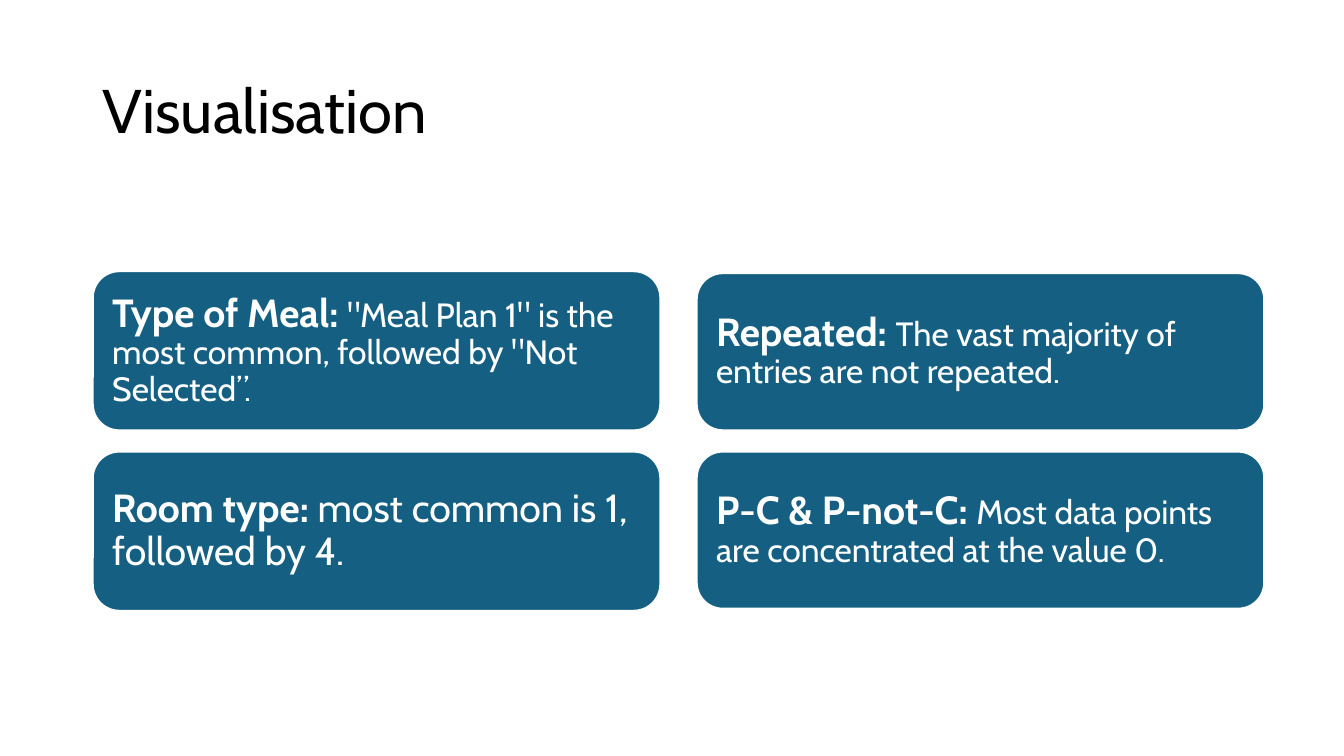
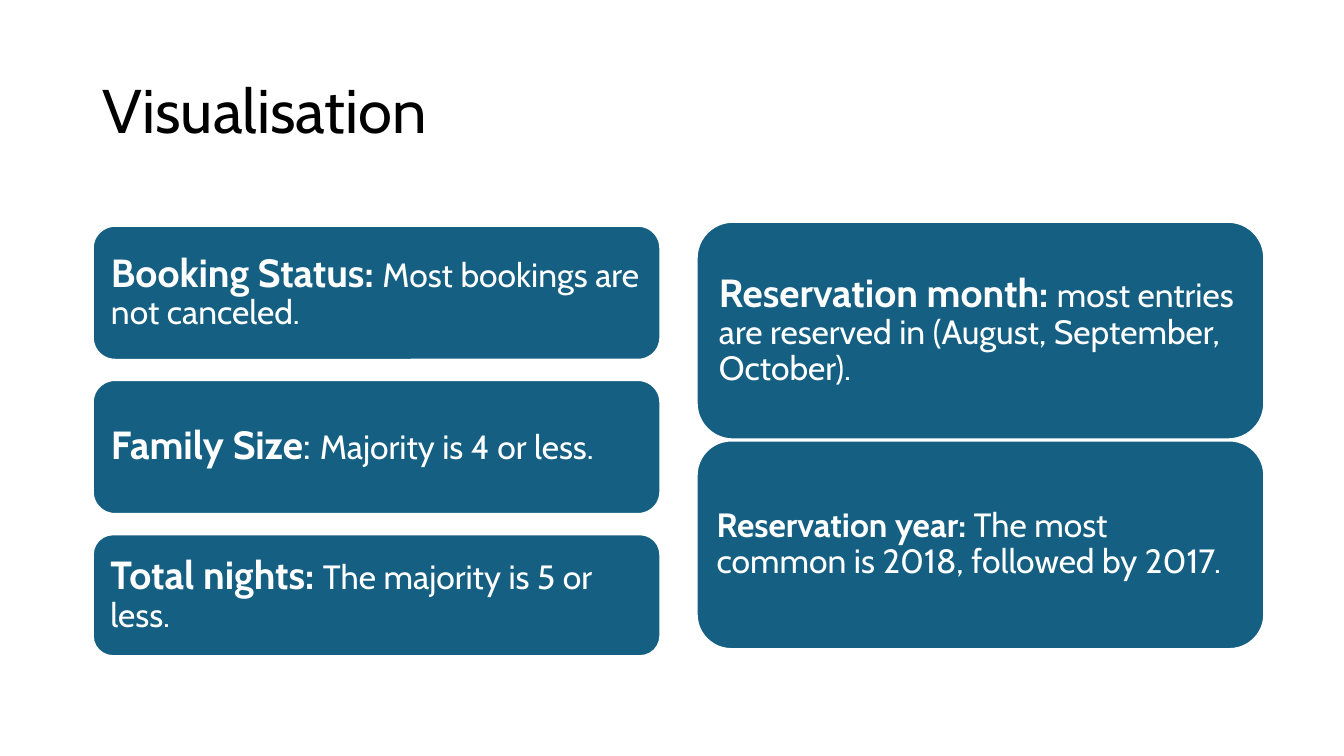
from pptx import Presentation
from pptx.dml.color import RGBColor
from pptx.enum.shapes import MSO_SHAPE
from pptx.enum.text import MSO_ANCHOR, PP_ALIGN
from pptx.util import Inches, Pt

ROUNDED = MSO_SHAPE.ROUNDED_RECTANGLE
MIDDLE = MSO_ANCHOR.MIDDLE
LEFT = PP_ALIGN.LEFT

# Shared style
FONT = "Cabin"
BLUE, WHITE, BLACK = "156082", "FFFFFF", "000000"
TITLE_SIZE, HEADING_SIZE, BODY_SIZE = 44, 28, 24

# Shared grid, in inches
SLIDE_WIDTH, SLIDE_HEIGHT = 13.33, 7.5
MARGIN = 0.92
TITLE_TOP, TITLE_WIDTH, TITLE_HEIGHT = 0.4, 11.5, 1.45
CARD_WIDTH, COLUMN_STEP = 5.63, 5.99

# Each slide has two columns; each card has a height and runs of (text, size, bold)
SLIDES = [
    ("Visualisation", [
        {"top": 2.69, "gap": 0.21, "cards": [
            (1.58, [("Type of Meal: ", HEADING_SIZE, True),
                    ('"Meal Plan 1" is the most common, followed by "Not Selected”.',
                     BODY_SIZE, False)]),
            (1.58, [("Room type: ", HEADING_SIZE, True),
                    ("most common is 1, followed by 4.", HEADING_SIZE, False)]),
        ]},
        {"top": 2.71, "gap": 0.21, "cards": [
            (1.56, [("Repeated: ", HEADING_SIZE, True),
                    ("The vast majority of entries are not repeated.", BODY_SIZE, False)]),
            (1.56, [("P-C & P-not-C: ", HEADING_SIZE, True),
                    ("Most data points are concentrated at the value 0.",
                     BODY_SIZE, False)]),
        ]},
    ]),
    ("Visualisation", [
        {"top": 2.24, "gap": 0.2, "cards": [
            (1.33, [("Booking Status: ", HEADING_SIZE, True),
                    ("Most bookings are not canceled.", BODY_SIZE, False)]),
            (1.33, [("Family Size", HEADING_SIZE, True),
                    (": ", HEADING_SIZE, False),
                    ("Majority is 4 or less.", BODY_SIZE, False)]),
            (1.21, [("Total nights: ", HEADING_SIZE, True),
                    ("The majority is 5 or less.", BODY_SIZE, False)]),
        ]},
        {"top": 2.2, "gap": 0.01, "cards": [
            (2.16, [("Reservation month: ", HEADING_SIZE, True),
                    ("most entries are reserved in (August, September, October).",
                     BODY_SIZE, False)]),
            (2.07, [("Reservation year: ", BODY_SIZE, True),
                    ("The most common is 2018, followed by 2017.", BODY_SIZE, False)]),
        ]},
    ]),
]


def color(value):
    return RGBColor.from_string(value)


def write_text(shape, runs, *, font_color, inset):
    """Fill a shape with one left-aligned, vertically centred paragraph."""
    frame = shape.text_frame
    frame.word_wrap = True
    frame.vertical_anchor = MIDDLE
    frame.margin_left = frame.margin_right = Inches(inset)
    frame.margin_top = frame.margin_bottom = Inches(inset)
    paragraph = frame.paragraphs[0]
    paragraph.alignment = LEFT
    paragraph.line_spacing = 0.9
    for text, size, bold in runs:
        run = paragraph.add_run()
        run.text = text
        run.font.name = FONT
        run.font.size = Pt(size)
        run.font.bold = bold
        run.font.color.rgb = color(font_color)


def add_title(slide, title):
    box = slide.shapes.add_textbox(
        Inches(MARGIN), Inches(TITLE_TOP), Inches(TITLE_WIDTH), Inches(TITLE_HEIGHT))
    write_text(box, [(title, TITLE_SIZE, False)], font_color=BLACK, inset=0.1)


def add_card(slide, left, top, height, runs):
    card = slide.shapes.add_shape(
        ROUNDED, Inches(left), Inches(top), Inches(CARD_WIDTH), Inches(height))
    card.shadow.inherit = False
    card.fill.solid()
    card.fill.fore_color.rgb = color(BLUE)
    card.line.color.rgb = color(WHITE)
    card.line.width = Pt(1.5)
    # The inset grows with the size of the heading
    write_text(card, runs, font_color=WHITE, inset=runs[0][1] / 240)


def main():
    presentation = Presentation()
    presentation.slide_width = Inches(SLIDE_WIDTH)
    presentation.slide_height = Inches(SLIDE_HEIGHT)
    blank = presentation.slide_layouts[6]

    for title, columns in SLIDES:
        slide = presentation.slides.add_slide(blank)
        add_title(slide, title)
        for index, column in enumerate(columns):
            left = MARGIN + index * COLUMN_STEP
            top = column["top"]
            for height, runs in column["cards"]:
                add_card(slide, left, top, height, runs)
                top += height + column["gap"]

    presentation.save("out.pptx")


if __name__ == "__main__":
    main()
